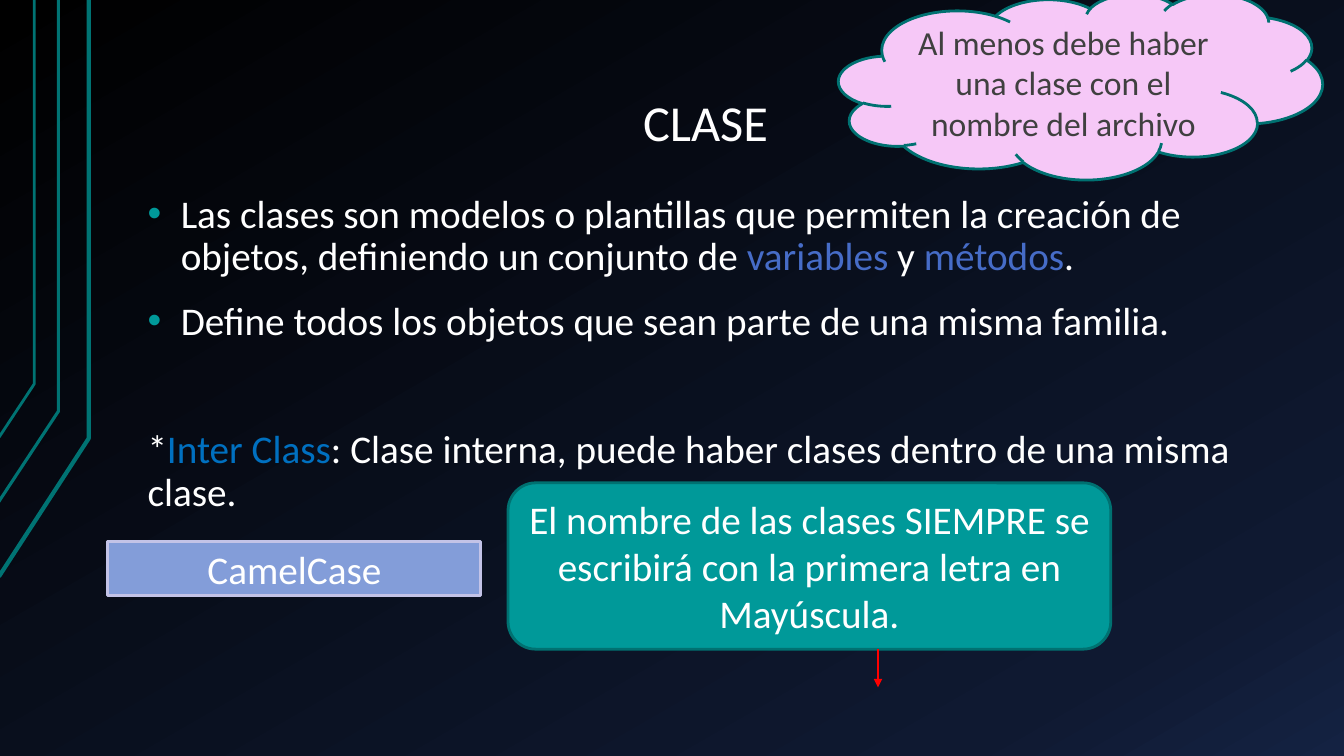
from dataclasses import dataclass

from lxml.etree import SubElement
from pptx import Presentation
from pptx.dml.color import RGBColor
from pptx.enum.shapes import MSO_CONNECTOR as Connector, MSO_SHAPE as Preset
from pptx.enum.text import MSO_ANCHOR as Anchor, MSO_AUTO_SIZE as AutoSize, PP_ALIGN as Align
from pptx.oxml.ns import qn
from pptx.util import Inches, Pt

WIDTH, HEIGHT = Inches(13.33), Inches(7.5)
FONT = "Calibri"
WHITE, TEAL, DARK_TEAL, EDGE_TEAL = "FFFFFF", "009999", "007171", "007373"
KEYWORD, INNER_CLASS = "466CC7", "0070C0"
BACKGROUND_STOPS = [(0, "000000"), (85, "0F1931"), (100, "142242")]


@dataclass
class Area:
    """A rectangle in percent of the slide's width and height."""
    left: float
    top: float
    width: float
    height: float


@dataclass
class Callout:
    preset: Preset
    area: Area
    fill: str
    line: str
    text: str
    size: int = 28
    color: str = WHITE


@dataclass
class BodyItem:
    spans: list[tuple[str, str]]
    bullet: bool = True
    space_before: float = 16


@dataclass
class EdgeLine:
    right: float
    bend: float
    left: float
    end: float
    weight: float


TITLE_AREA = Area(10, 3.2, 85, 17.87)
BODY_AREA = Area(10, 24.8, 85, 65.07)

EDGE_LINES = [
    EdgeLine(6.6, 58, -0.08, 76.27, 3),
    EdgeLine(4.35, 54.4, -0.15, 66.53, 2.25),
    EdgeLine(2.55, 50.8, -0.08, 57.87, 2),
]

BODY_ITEMS = [
    BodyItem([
        ("Las clases son modelos o plantillas que permiten la creación de objetos, "
         "definiendo un conjunto de ", WHITE),
        ("variables", KEYWORD), (" y ", WHITE), ("métodos", KEYWORD), (".", WHITE),
    ]),
    BodyItem([("Define todos los objetos que sean parte de una misma familia.", WHITE)]),
    BodyItem([
        ("*", WHITE), ("Inter Class", INNER_CLASS),
        (": Clase interna, puede haber clases dentro de una misma clase.", WHITE),
    ], bullet=False, space_before=61.5),
]

NAMING_RULE = Callout(
    Preset.ROUNDED_RECTANGLE, Area(37.8, 63.87, 44.85, 22), TEAL, DARK_TEAL,
    "El nombre de las clases SIEMPRE se escribirá con la primera letra en Mayúscula.")
CAMEL_CASE = Callout(
    Preset.RECTANGLE, Area(8.03, 71.6, 27.75, 7.2), "839DD9", "C3C3E7", "CamelCase")
FILE_NAME_RULE = Callout(
    Preset.CLOUD, Area(62.4, -0.8, 36, 24.53), "F6C8F7", DARK_TEAL,
    "Al menos debe haber una clase con el nombre del archivo", 24, "404040")


def rgb(value: str) -> RGBColor:
    return RGBColor.from_string(value)


def across(share: float) -> int:
    return round(WIDTH * share / 100)


def down(share: float) -> int:
    return round(HEIGHT * share / 100)


def place(area: Area) -> tuple[int, int, int, int]:
    return across(area.left), down(area.top), across(area.width), down(area.height)


def move(box, area: Area) -> None:
    box.left, box.top, box.width, box.height = place(area)


def set_font(font, size: int, color: str | None = None) -> None:
    font.name, font.size = FONT, Pt(size)
    if color:
        font.color.rgb = rgb(color)


def set_line(line, color: str, weight: float) -> None:
    line.color.rgb, line.width = rgb(color), Pt(weight)


def paint_background(page) -> None:
    fill = page.background.fill
    fill.gradient()
    fill.gradient_angle = 300  # counter-clockwise
    stops = page.element.find(".//" + qn("a:gsLst"))
    for stop in list(stops):
        stops.remove(stop)
    for position, color in BACKGROUND_STOPS:
        stop = SubElement(stops, qn("a:gs"), pos=str(position * 1000))
        SubElement(stop, qn("a:srgbClr"), val=color)


def draw_edge_line(page, edge: EdgeLine) -> None:
    builder = page.shapes.build_freeform(across(edge.left), down(edge.end))
    bend, top = (across(edge.right), down(edge.bend)), (across(edge.right), 0)
    builder.add_line_segments([bend, top], close=False)
    outline = builder.convert_to_shape()
    outline.fill.background()
    outline.shadow.inherit = False
    set_line(outline.line, EDGE_TEAL, edge.weight)


def set_insets(frame) -> None:
    frame.margin_left = frame.margin_right = Inches(0.13)
    frame.margin_top = frame.margin_bottom = Inches(0.07)
    frame.word_wrap, frame.auto_size = True, AutoSize.NONE


def write_title(box) -> None:
    move(box, TITLE_AREA)
    frame = box.text_frame
    set_insets(frame)
    frame.vertical_anchor = Anchor.BOTTOM
    frame.text = "CLASE"
    para = frame.paragraphs[0]
    para.alignment, para.line_spacing = Align.CENTER, 0.9
    set_font(para.font, 36, WHITE)


def set_bullet(para, shown: bool) -> None:
    properties = para._p.get_or_add_pPr()
    indent = Inches(0.33) if shown else 0
    properties.set("marL", str(indent))
    properties.set("indent", str(-indent))
    if shown:
        color = SubElement(properties, qn("a:buClr"))
        SubElement(color, qn("a:srgbClr"), val=TEAL)
        SubElement(properties, qn("a:buFont"), typeface="Arial")
        SubElement(properties, qn("a:buChar"), char="•")
    else:
        SubElement(properties, qn("a:buNone"))


def write_body(box) -> None:
    move(box, BODY_AREA)
    frame = box.text_frame
    set_insets(frame)
    frame.vertical_anchor = Anchor.TOP
    for index, item in enumerate(BODY_ITEMS):
        para = frame.add_paragraph() if index else frame.paragraphs[0]
        para.alignment, para.line_spacing = Align.LEFT, 0.9
        para.space_before, para.space_after = Pt(item.space_before), Pt(0)
        set_bullet(para, item.bullet)
        set_font(para.font, 28)
        for text, color in item.spans:
            span = para.add_run()
            span.text = text
            span.font.color.rgb = rgb(color)


def draw_callout(page, callout: Callout) -> None:
    box = page.shapes.add_shape(callout.preset, *place(callout.area))
    box.shadow.inherit = False
    box.fill.solid()
    box.fill.fore_color.rgb = rgb(callout.fill)
    set_line(box.line, callout.line, 2)
    frame = box.text_frame
    frame.word_wrap, frame.vertical_anchor = True, Anchor.MIDDLE
    frame.text = callout.text
    para = frame.paragraphs[0]
    para.alignment = Align.CENTER
    set_font(para.font, callout.size, callout.color)


def draw_arrow(page, column: float, start: float, end: float) -> None:
    arrow = page.shapes.add_connector(
        Connector.STRAIGHT, across(column), down(start), across(column), down(end))
    set_line(arrow.line, "FF0000", 2)
    SubElement(arrow.line._get_or_add_ln(), qn("a:tailEnd"), type="triangle")
    SubElement(arrow._element.spPr, qn("a:effectLst"))


def main() -> None:
    deck = Presentation()
    deck.slide_width, deck.slide_height = WIDTH, HEIGHT
    page = deck.slides.add_slide(deck.slide_layouts[1])
    paint_background(page)

    # Title and list
    write_title(page.shapes.title)
    write_body(page.placeholders[1])

    # Lines on the left edge
    for edge in EDGE_LINES:
        draw_edge_line(page, edge)

    # Callouts and arrow
    draw_callout(page, NAMING_RULE)
    draw_arrow(page, 65.33, 85.87, 90.93)
    draw_callout(page, CAMEL_CASE)
    draw_callout(page, FILE_NAME_RULE)
    deck.save("out.pptx")


if __name__ == "__main__":
    main()
